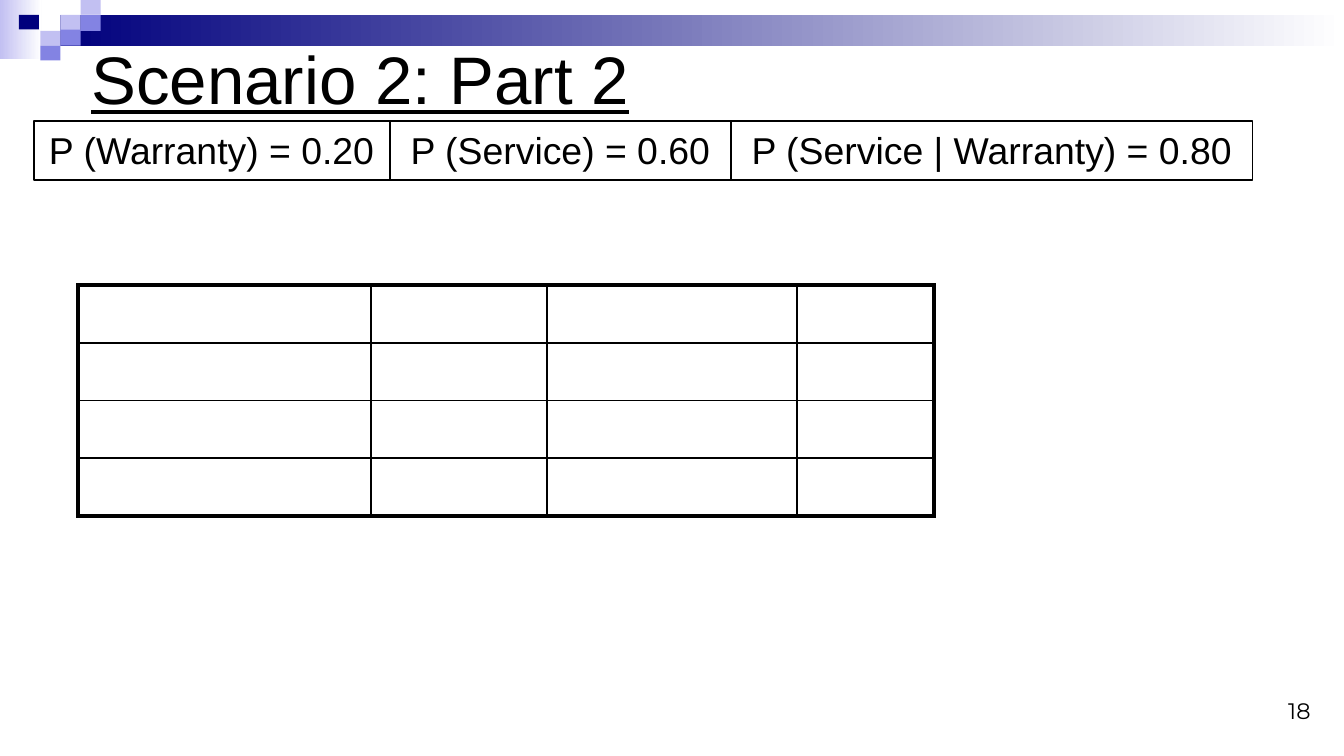
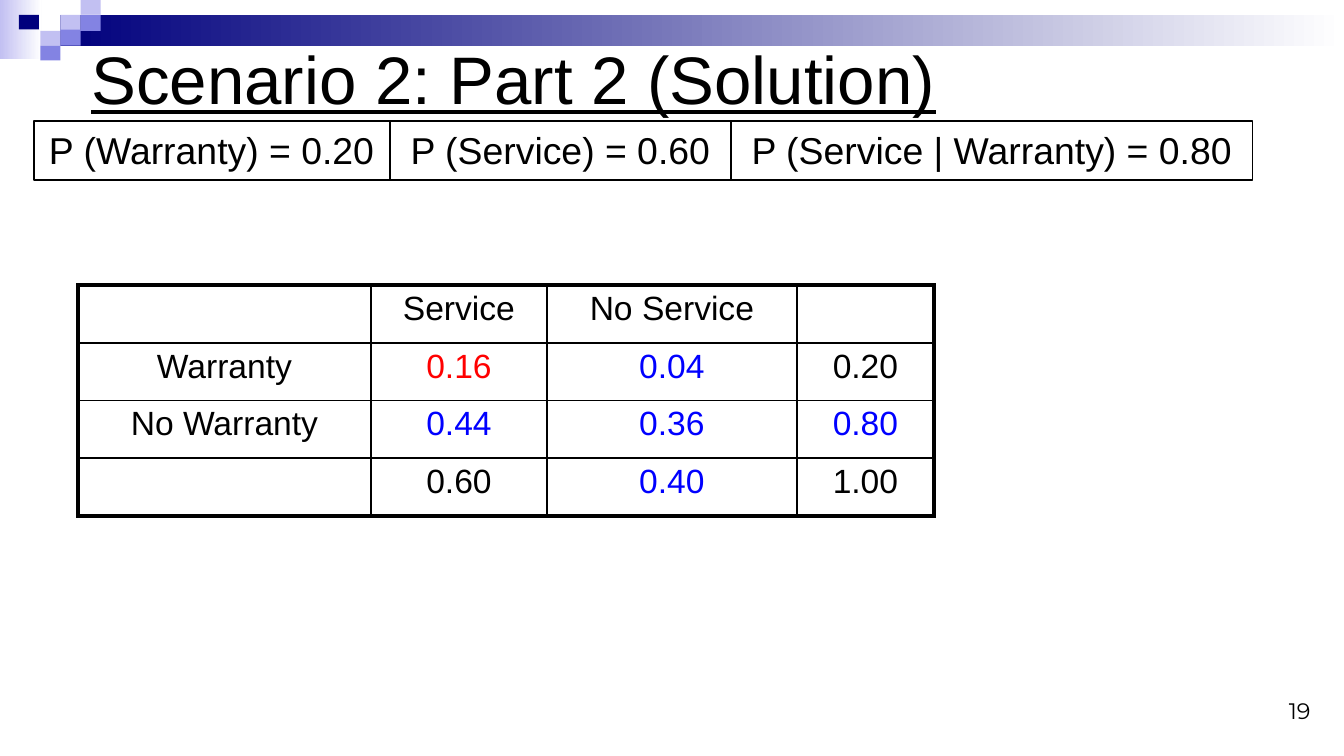
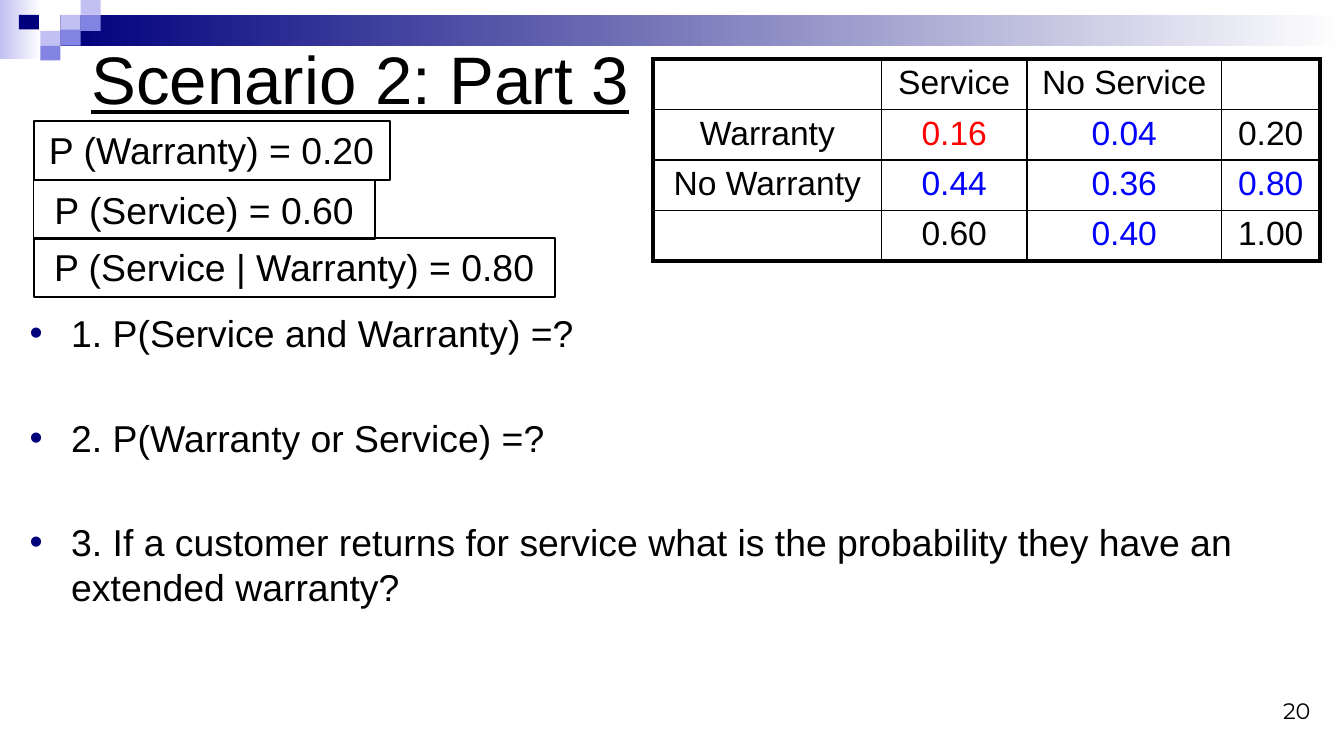
from lxml.etree import SubElement
from pptx import Presentation
from pptx.dml.color import RGBColor
from pptx.enum.shapes import MSO_SHAPE
from pptx.enum.text import MSO_ANCHOR, MSO_AUTO_SIZE, PP_ALIGN
from pptx.oxml.ns import qn
from pptx.util import Inches, Pt

BLACK, WHITE, RED, BLUE = "000000", "FFFFFF", "FF0000", "0000FF"
NAVY, VIOLET, LILAC = "00007D", "8383E3", "C2C0F2"

TITLE = {"name": "Arial", "size": Pt(36), "underline": True}
BODY = {"name": "Arial", "size": Pt(20)}
CELL = {"name": "Arial", "size": Pt(18)}
NUMBER = {"name": "Montserrat", "size": Pt(12)}
CELL_MARGINS = {"margin_left": Inches(0.1), "margin_right": Inches(0.1),
                "margin_top": Pt(2.7), "margin_bottom": Pt(2.7)}

FADES = [(0, 0, 0.31, 0.44, LILAC), (0.45, 0.11, 9.55, 0.23, NAVY)]
SQUARES = [
    (0.45, 0.11, 0.12, LILAC), (0.6, 0, 0.11, LILAC),
    (0.6, 0.11, 0.12, VIOLET), (0.3, 0.23, 0.11, LILAC),
    (0.14, 0.11, 0.11, NAVY), (0.45, 0.22, 0.12, VIOLET),
    (0.3, 0.34, 0.11, VIOLET),
]
FACTS = [
    ("P (Warranty) = 0.20", 2.65),
    ("P (Service) = 0.60", 2.54),
    ("P (Service | Warranty) = 0.80", 3.88),
]
FACTS_IN_ROW = [(0.25, 0.9), (2.9, 0.9), (5.44, 0.9)]
FACTS_STACKED = [(0.25, 0.9), (0.25, 1.34), (0.25, 1.77)]
SOLUTION = [
    ["", "Service", "No Service", ""],
    ["Warranty", "0.16", "0.04", "0.20"],
    ["No Warranty", "0.44", "0.36", "0.80"],
    ["", "0.60", "0.40", "1.00"],
]
EMPTY = [[""] * 4] * 4
VALUE_COLORS = {"0.16": RED, "0.04": BLUE, "0.44": BLUE, "0.36": BLUE,
                "0.80": BLUE, "0.40": BLUE}
WIDE_TABLE = (0.58, 2.12, 1.72, [2.18, 1.31, 1.86, 1.02], [0.43] * 4)
SMALL_TABLE = (4.86, 0.44, 1.5, [1.7, 1.08, 1.45, 0.73], [0.33] * 3 + [0.29])
QUESTIONS = [
    "1. P(Service and Warranty) =?",
    "2. P(Warranty or Service) =?",
    "3. If a customer returns for service what is the probability "
    "they have an extended warranty?",
]


def rgb(value):
    return RGBColor.from_string(value)


def inches(*lengths):
    return [Inches(length) for length in lengths]


def set_attrs(obj, values):
    for name, value in values.items():
        setattr(obj, name, value)


def write(p, text, font, color=BLACK, align=PP_ALIGN.LEFT):
    p.alignment = align
    r = p.add_run()
    r.text = text
    set_attrs(r.font, font)
    r.font.color.rgb = rgb(color)


def place(sp, left, top, width, height):
    sp.left, sp.top, sp.width, sp.height = inches(left, top, width, height)


def add_rect(shapes, left, top, width, height):
    sp = shapes.add_shape(MSO_SHAPE.RECTANGLE, *inches(left, top, width, height))
    sp.shadow.inherit = False
    return sp


def add_band(s):
    shapes = s.shapes.add_group_shape().shapes
    for left, top, width, height, color in FADES:
        sp = add_rect(shapes, left, top, width, height)
        sp.line.fill.background()
        sp.fill.gradient()
        sp.fill.gradient_angle = 0
        for stop, shade in zip(sp.fill.gradient_stops, (color, WHITE)):
            stop.color.rgb = rgb(shade)
    for left, top, height, color in SQUARES:
        sp = add_rect(shapes, left, top, 0.15, height)
        sp.line.fill.background()
        sp.fill.solid()
        sp.fill.fore_color.rgb = rgb(color)


def add_number(s, number):
    tf = s.shapes.add_textbox(*inches(7.52, 5.06, 2.33, 0.38)).text_frame
    set_attrs(tf, {"word_wrap": True, "vertical_anchor": MSO_ANCHOR.BOTTOM})
    write(tf.paragraphs[0], str(number), NUMBER, align=PP_ALIGN.RIGHT)


def add_slide(prs, layout, title, number):
    s = prs.slides.add_slide(prs.slide_layouts[layout])
    add_band(s)
    add_number(s, number)
    sp = s.shapes.title
    place(sp, 0.58, 0.31, 7.19, 0.54)
    set_attrs(sp.text_frame, {"auto_size": MSO_AUTO_SIZE.NONE,
                              "vertical_anchor": MSO_ANCHOR.MIDDLE})
    write(sp.text_frame.paragraphs[0], title, TITLE)
    return s


def add_facts(s, corners):
    for (text, width), (left, top) in zip(FACTS, corners):
        sp = add_rect(s.shapes, left, top, width, 0.44)
        sp.fill.background()
        sp.line.color.rgb = rgb(BLACK)
        sp.line.width = Pt(1)
        tf = sp.text_frame
        set_attrs(tf, {"word_wrap": False, "vertical_anchor": MSO_ANCHOR.TOP})
        write(tf.paragraphs[0], text, BODY, align=PP_ALIGN.CENTER)


def add_border(cell, side, width):
    ln = SubElement(cell._tc.get_or_add_tcPr(), qn(f"a:ln{side}"), w=str(Pt(width)))
    fill = SubElement(ln, qn("a:solidFill"))
    SubElement(fill, qn("a:srgbClr"), val=BLACK)


def format_cell(cell, outer):
    set_attrs(cell, CELL_MARGINS)
    for side, is_outer in outer.items():
        add_border(cell, side, 2.25 if is_outer else 1)
    cell.fill.background()


def add_grid(s, rows, left, top, height, widths, row_heights):
    last_row, last_col = len(rows) - 1, len(widths) - 1
    frame = s.shapes.add_table(len(rows), len(widths),
                               *inches(left, top, sum(widths), height))
    table = frame.table
    set_attrs(table, {"first_row": False, "horz_banding": False})
    for column, width in zip(table.columns, widths):
        column.width = Inches(width)
    for i, row in enumerate(rows):
        table.rows[i].height = Inches(row_heights[i])
        for j, text in enumerate(row):
            cell = table.cell(i, j)
            format_cell(cell, {"L": j == 0, "R": j == last_col,
                               "T": i == 0, "B": i == last_row})
            if text:
                write(cell.text_frame.paragraphs[0], text, CELL,
                      VALUE_COLORS.get(text, BLACK), PP_ALIGN.CENTER)
    frame.height = Inches(height)


def add_bullet(p):
    pPr = p._p.get_or_add_pPr()
    pPr.set("marL", str(Inches(0.31)))
    pPr.set("indent", str(Inches(-0.31)))
    color = SubElement(pPr, qn("a:buClr"))
    SubElement(color, qn("a:srgbClr"), val=NAVY)
    SubElement(pPr, qn("a:buChar"), char="•")


def add_questions(s):
    sp = s.placeholders[1]
    place(sp, 0.12, 2.26, 9.7, 2.39)
    tf = sp.text_frame
    tf.auto_size = MSO_AUTO_SIZE.NONE
    for i, text in enumerate(QUESTIONS):
        p = tf.add_paragraph() if i else tf.paragraphs[0]
        p.space_before = Pt(32 if i else 0)
        add_bullet(p)
        write(p, text, BODY)


def main():
    prs = Presentation()
    prs.slide_width = Inches(10)
    prs.slide_height = prs.slide_width * 9 // 16

    s = add_slide(prs, 5, "Scenario 2: Part 2", 18)
    add_facts(s, FACTS_IN_ROW)
    add_grid(s, EMPTY, *WIDE_TABLE)

    s = add_slide(prs, 5, "Scenario 2: Part 2 (Solution)", 19)
    add_facts(s, FACTS_IN_ROW)
    add_grid(s, SOLUTION, *WIDE_TABLE)

    s = add_slide(prs, 1, "Scenario 2: Part 3", 20)
    add_questions(s)
    add_facts(s, FACTS_STACKED)
    add_grid(s, SOLUTION, *SMALL_TABLE)

    prs.save("out.pptx")


if __name__ == "__main__":
    main()
